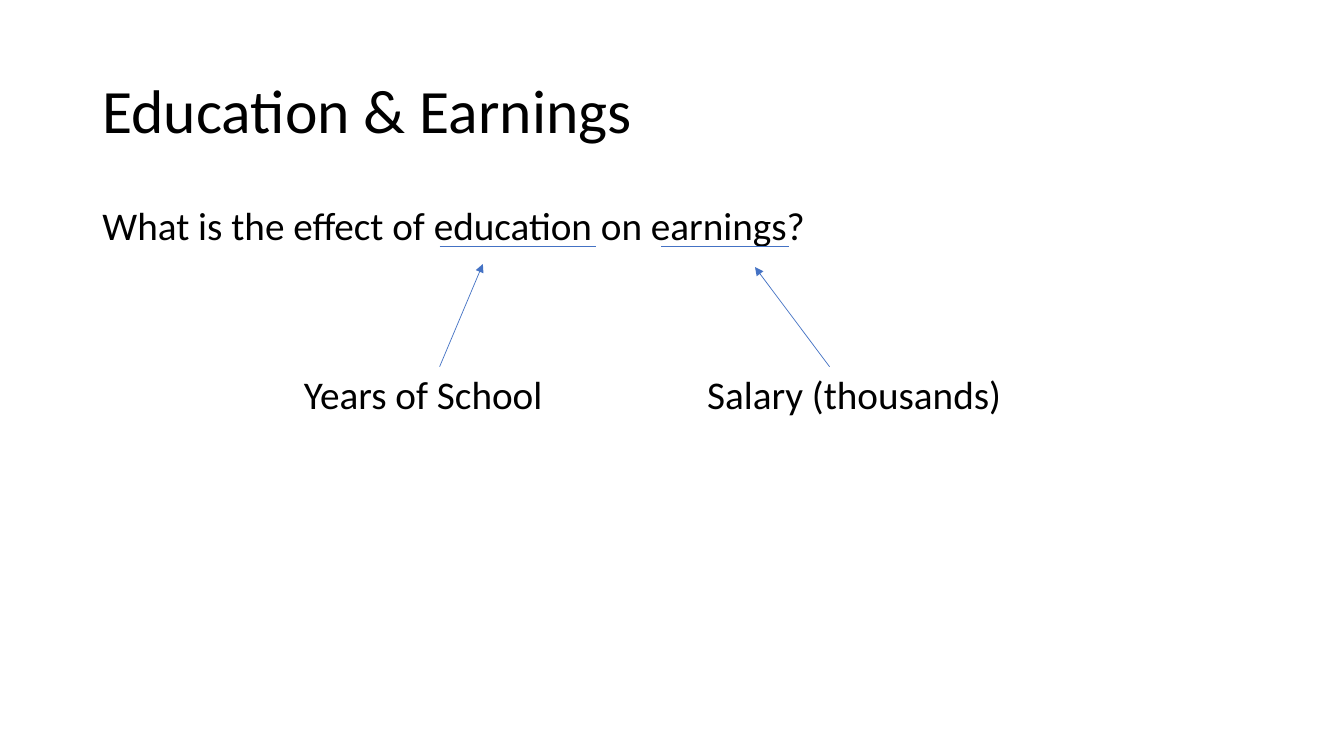
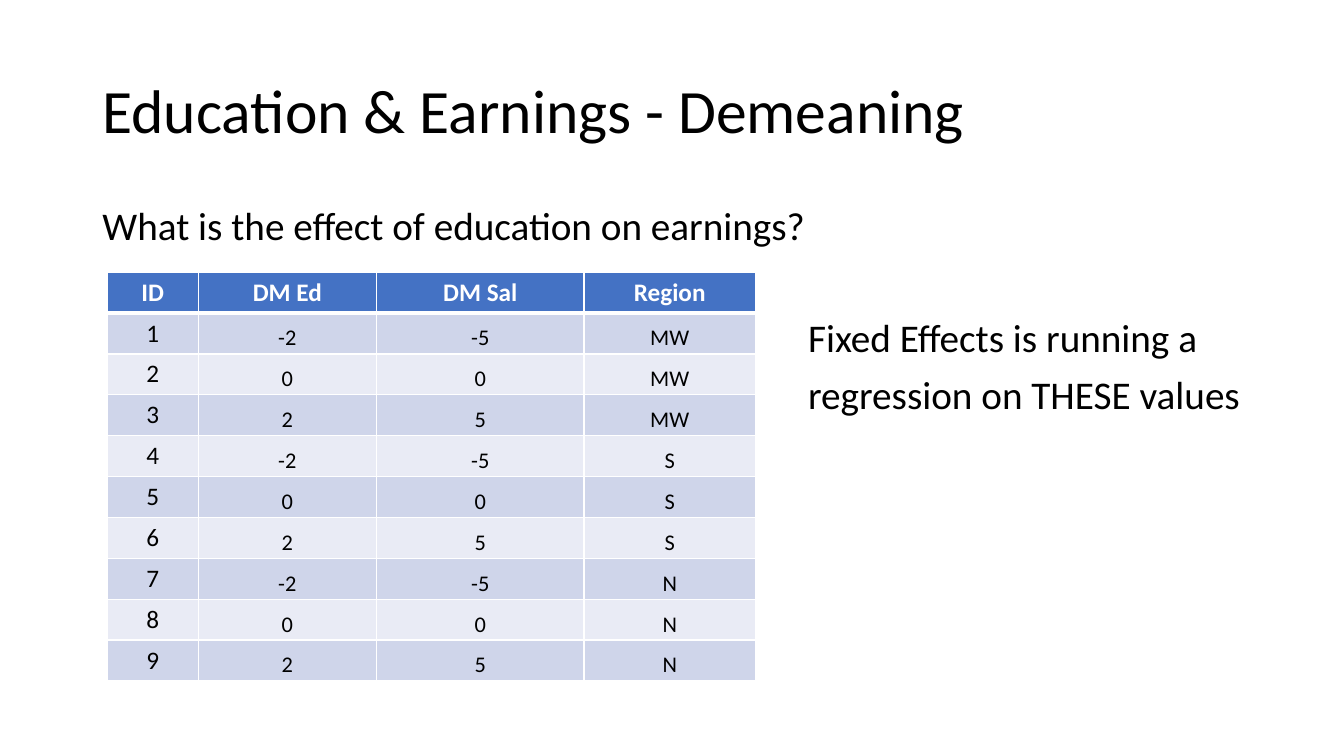
from lxml.etree import SubElement
from pptx import Presentation
from pptx.dml.color import RGBColor
from pptx.enum.shapes import MSO_CONNECTOR
from pptx.enum.text import MSO_ANCHOR, MSO_AUTO_SIZE, PP_ALIGN
from pptx.oxml.ns import qn
from pptx.util import Pt

BLACK = RGBColor(0x00, 0x00, 0x00)
WHITE = RGBColor(0xFF, 0xFF, 0xFF)
BLUE = RGBColor(0x44, 0x72, 0xC4)
DARK_BAND = RGBColor(0xCF, 0xD5, 0xEA)
LIGHT_BAND = RGBColor(0xE9, 0xEB, 0xF5)

QUESTION = "What is the effect of education on earnings?"


def apply(target, values):
    for name, value in values.items():
        setattr(target, name, value)


class Deck:
    font = "Calibri"
    title_box = (66, 28.8, 828, 104.4)
    body_box = (66, 144, 828, 342.7)
    frame_format = {"word_wrap": True, "auto_size": MSO_AUTO_SIZE.NONE,
                    "vertical_anchor": MSO_ANCHOR.TOP, "margin_right": 0}
    paragraph_format = {"alignment": PP_ALIGN.LEFT, "line_spacing": 0.9,
                        "space_before": Pt(0)}
    value_format = {"vertical_anchor": MSO_ANCHOR.BOTTOM,
                    "margin_left": Pt(2.16), "margin_right": Pt(2.16),
                    "margin_top": Pt(1.44), "margin_bottom": Pt(1.44)}

    def __init__(self):
        self.presentation = Presentation()
        apply(self.presentation, {"slide_width": Pt(960), "slide_height": Pt(540)})
        self.slide = None

    def add_slide(self, title):
        layout = self.presentation.slide_layouts[1]
        self.slide = self.presentation.slides.add_slide(layout)
        heading = self.slide.shapes.title
        self.place(heading, self.title_box)
        self.fill_text(heading.text_frame, [(title, {})], 44)
        heading.text_frame.vertical_anchor = MSO_ANCHOR.MIDDLE

    def place(self, shape, box):
        apply(shape, dict(zip(("left", "top", "width", "height"), map(Pt, box))))

    def style(self, paragraph, size, color=BLACK, bold=False):
        apply(paragraph.font, {"name": self.font, "size": Pt(size), "bold": bold})
        paragraph.font.color.rgb = color

    def fill_text(self, frame, lines, size=28):
        apply(frame, self.frame_format)
        for number, (text, extra) in enumerate(lines):
            paragraph = frame.add_paragraph() if number else frame.paragraphs[0]
            paragraph.text = text
            self.style(paragraph, size)
            apply(paragraph, {**self.paragraph_format, **extra.get("format", {})})
            properties = paragraph._p.get_or_add_pPr()
            properties.set("marL", str(Pt(extra.get("indent", 0))))
            properties.set("indent", "0")
            properties.insert_element_before(
                properties.makeelement(qn("a:buNone")), "a:tabLst", "a:defRPr")

    def body(self, lines):
        body = self.slide.placeholders[1]
        self.place(body, self.body_box)
        self.fill_text(body.text_frame, lines)

    def label(self, text, left, top, width):
        box = self.slide.shapes.add_textbox(*map(Pt, (left, top, width, 40)))
        self.fill_text(box.text_frame, [(text, {})])

    def line(self, start, end, arrow=False):
        connector = self.slide.shapes.add_connector(
            MSO_CONNECTOR.STRAIGHT, *map(Pt, start + end))
        connector.line.color.rgb = BLUE
        connector.line.width = Pt(0.5)
        if arrow:
            outline = connector._element.spPr.find(qn("a:ln"))
            SubElement(outline, qn("a:tailEnd"), type="triangle")
        SubElement(connector._element.spPr, qn("a:effectLst"))

    def borders(self, cell, edges):
        properties = cell._tc.get_or_add_tcPr()
        for edge, width in edges.items():
            border = SubElement(properties, qn(f"a:ln{edge}"), w=str(Pt(width)))
            fill = SubElement(border, qn("a:solidFill"))
            SubElement(fill, qn("a:srgbClr"), val=str(WHITE))

    def table(self, rows, left, top, widths, row_height):
        box = (left, top, sum(widths), row_height * len(rows))
        table = self.slide.shapes.add_table(
            len(rows), len(widths), *map(Pt, box)).table
        for column, width in zip(table.columns, widths):
            column.width = Pt(width)
        for row, values in enumerate(rows):
            table.rows[row].height = Pt(row_height)
            for column, value in enumerate(values):
                self.cell(table.cell(row, column), value, row, column)

    def cell(self, cell, value, row, column):
        header = row == 0
        plain = header or column == 0
        if not plain:
            apply(cell, self.value_format)
        cell.text = str(value)
        paragraph = cell.text_frame.paragraphs[0]
        paragraph.alignment = PP_ALIGN.CENTER
        self.style(paragraph, 18 if plain else 16, WHITE if header else BLACK, header)
        edges = {"L": 1, "R": 1, "T": 1, "B": 3} if header else {"L": 1, "R": 1, "B": 1}
        self.borders(cell, edges)
        cell.fill.solid()
        band = DARK_BAND if row % 2 else LIGHT_BAND
        cell.fill.fore_color.rgb = BLUE if header else band


deck = Deck()

deck.add_slide("Education & Earnings")
deck.body([(QUESTION, {})])
for measure, left, width in (("Years of School", 210, 200),
                             ("Salary (thousands)", 498, 240)):
    deck.label(measure, left, 264.7, width)
for start, end in ((314, 425.5), (472.3, 563.8)):
    deck.line((start, 175.7), (end, 175.7))
deck.line((314, 262), (344.9, 188.6), arrow=True)
deck.line((592.6, 262), (539.3, 190.8), arrow=True)

deck.add_slide("Education & Earnings - Demeaning")
deck.body([
    (QUESTION, {}),
    ("Fixed Effects is running a", {"indent": 504, "format": {"space_before": Pt(50)}}),
    ("regression on THESE values", {"indent": 504, "format": {"space_before": Pt(10)}}),
])
regions = ("MW", "S", "N")
deviations = ((-2, -5), (0, 0), (2, 5))
groups = [(*deviation, region) for region in regions for deviation in deviations]
rows = [("ID", "DM Ed", "DM Sal", "Region")]
rows += [(number, *group) for number, group in enumerate(groups, 1)]
deck.table(rows, 76.7, 194.4, (64.8, 127.4, 148.3, 122.4), 29.2)

deck.presentation.save("out.pptx")
